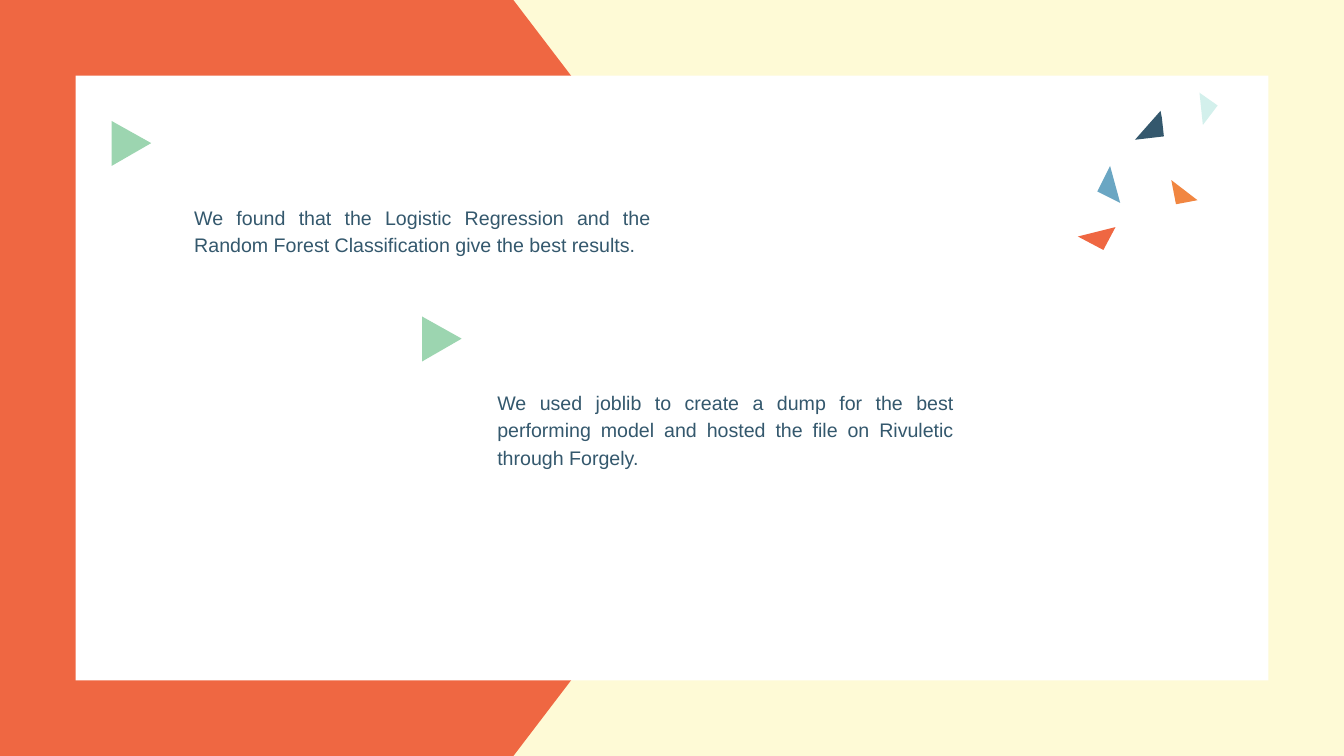
from pptx import Presentation
from pptx.dml.color import RGBColor
from pptx.enum.shapes import MSO_SHAPE
from pptx.enum.text import PP_ALIGN
from pptx.util import Inches, Pt

RECTANGLE = MSO_SHAPE.RECTANGLE
JUSTIFY = PP_ALIGN.JUSTIFY

CREAM = RGBColor(0xFE, 0xFA, 0xD6)
RED = RGBColor(0xEF, 0x67, 0x42)
WHITE = RGBColor(0xFF, 0xFF, 0xFF)
GREEN = RGBColor(0x9C, 0xD5, 0xB0)
NAVY = RGBColor(0x34, 0x58, 0x6D)
MINT = RGBColor(0xD3, 0xF0, 0xEC)
ORANGE = RGBColor(0xF1, 0x86, 0x41)
BLUE = RGBColor(0x6A, 0xA6, 0xC3)

SLIDE_WIDTH, SLIDE_HEIGHT = 20, 11.25
MARGIN = 1.125
TEXT_WIDTH = 6.79

CONFETTI = [
    (NAVY, [(1.25, 0.37), (1.28, 0.65), (0.85, 0.7), (1.23, 0.27)]),
    (MINT, [(2.08, 0.19), (1.81, 0), (1.86, 0.48)]),
    (ORANGE, [(1.78, 1.6), (1.39, 1.3), (1.46, 1.66)]),
    (BLUE, [(0.63, 1.64), (0.48, 1.09), (0.29, 1.47)]),
    (RED, [(0.56, 2), (0, 2.14), (0.38, 2.34)]),
]

FINDINGS = [
    ("We found that the Logistic Regression and the Random Forest "
     "Classification give the best results.", (1.66, 1.8), (2.89, 2.99), 0.84),
    ("We used joblib to create a dump for the best performing model and "
     "hosted the file on Rivuletic through Forgely.", (6.28, 4.71), (7.4, 5.74), 1.25),
]


def paint(shape, color):
    shape.shadow.inherit = False
    shape.fill.solid()
    shape.fill.fore_color.rgb = color
    shape.line.fill.background()


def add_polygon(slide, left, top, points, color):
    corners = [(Inches(left + x), Inches(top + y)) for x, y in points]
    builder = slide.shapes.build_freeform(*corners[0])
    builder.add_line_segments(corners[1:], close=True)
    paint(builder.convert_to_shape(), color)


def add_rectangle(slide, left, top, width, height, color):
    shape = slide.shapes.add_shape(
        RECTANGLE, Inches(left), Inches(top), Inches(width), Inches(height))
    paint(shape, color)


def add_text(slide, text, left, top, width, height, *, size, color, font="Arial",
             alignment=JUSTIFY, line_spacing=1.16):
    box = slide.shapes.add_textbox(
        Inches(left), Inches(top), Inches(width), Inches(height))
    frame = box.text_frame
    frame.word_wrap = True
    frame.margin_left = frame.margin_right = frame.margin_bottom = 0
    frame.margin_top = Inches(0.02)
    paragraph = frame.paragraphs[0]
    paragraph.text = text
    paragraph.alignment = alignment
    paragraph.line_spacing = line_spacing
    paragraph.font.name = font
    paragraph.font.size = Pt(size)
    paragraph.font.color.rgb = color


def add_backdrop(slide, width, height):
    add_rectangle(slide, 0, 0, width, height, CREAM)
    arrow = [(0, 0), (7.64, 0), (11.93, height / 2), (7.64, height), (0, height)]
    add_polygon(slide, 0, 0, arrow, RED)
    add_rectangle(slide, MARGIN, MARGIN, width - 2 * MARGIN, height - 2 * MARGIN, WHITE)


def add_confetti(slide, left, top):
    for color, points in CONFETTI:
        add_polygon(slide, left, top, points, color)


def add_finding(slide, text, marker, position, height):
    add_polygon(slide, *marker, [(0, 0), (0.59, 0.33), (0, 0.67)], GREEN)
    add_text(slide, text, *position, TEXT_WIDTH, height, size=21, color=NAVY)


def main():
    presentation = Presentation()
    presentation.slide_width = Inches(SLIDE_WIDTH)
    presentation.slide_height = Inches(SLIDE_HEIGHT)
    slide = presentation.slides.add_slide(presentation.slide_layouts[6])
    add_backdrop(slide, SLIDE_WIDTH, SLIDE_HEIGHT)
    add_confetti(slide, 16.04, 1.38)
    for finding in FINDINGS:
        add_finding(slide, *finding)
    presentation.save("out.pptx")


if __name__ == "__main__":
    main()
